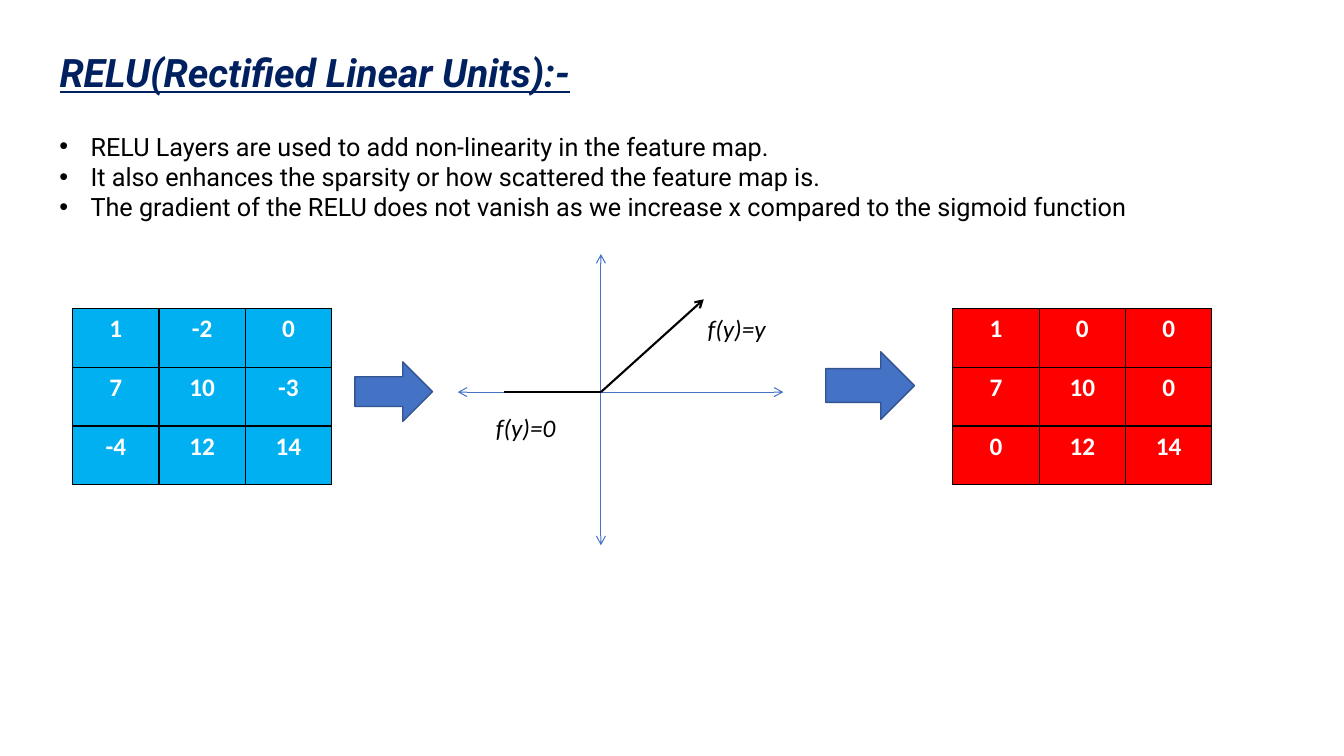
from lxml import etree
from pptx import Presentation
from pptx.dml.color import RGBColor
from pptx.enum.shapes import MSO_CONNECTOR, MSO_SHAPE
from pptx.enum.text import MSO_ANCHOR, PP_ALIGN
from pptx.oxml.ns import qn
from pptx.util import Pt

PX = 9144
STRAIGHT = MSO_CONNECTOR.STRAIGHT
RIGHT_ARROW = MSO_SHAPE.RIGHT_ARROW
MIDDLE = MSO_ANCHOR.MIDDLE
LEFT, CENTER = PP_ALIGN.LEFT, PP_ALIGN.CENTER
COLORS = {
    "navy": "002060",
    "black": "000000",
    "white": "FFFFFF",
    "sky": "00B0F0",
    "red": "FF0000",
    "blue": "4472C4",
    "outline": "325491",
}


def color(name):
    return RGBColor.from_string(COLORS[name])


def style_font(font, name, size, color_name, bold=False, italic=False):
    font.name = name
    font.size = Pt(size)
    font.bold = bold
    font.italic = italic
    font.color.rgb = color(color_name)


presentation = Presentation()
presentation.slide_width = 1333 * PX
presentation.slide_height = 750 * PX
slide = presentation.slides.add_slide(presentation.slide_layouts[5])

title = slide.shapes.title
title.left, title.top, title.width, title.height = 49 * PX, 24 * PX, 605 * PX, 101 * PX
title.text_frame.text = "RELU(Rectified Linear Units):-"
title.text_frame.vertical_anchor = MIDDLE
paragraph = title.text_frame.paragraphs[0]
paragraph.alignment = LEFT
paragraph.line_spacing = 0.9
style_font(paragraph.font, "Roboto", 28, "navy", bold=True, italic=True)
paragraph.font.underline = True

points = [
    "RELU Layers are used to add non-linearity in the feature map.",
    "It also enhances the sparsity or how scattered the feature map is.",
    "The gradient of the RELU does not vanish as we increase x compared to the sigmoid function",
]
body = slide.shapes.add_textbox(49 * PX, 125 * PX, 1201 * PX, 101 * PX)
body.text_frame.word_wrap = True
body.text_frame.text = "\n".join(points)
for paragraph in body.text_frame.paragraphs:
    style_font(paragraph.font, "Roboto", 18, "black")
    properties = paragraph._p.get_or_add_pPr()
    properties.set("marL", str(31 * PX))
    properties.set("indent", str(-31 * PX))
    bullet_font = etree.Element(qn("a:buFont"), typeface="Arial")
    bullet = etree.Element(qn("a:buChar"), char="•")
    properties.insert(0, bullet_font)
    properties.insert(1, bullet)

feature_maps = [
    (72, "sky", [["1", "-2", "0"], ["7", "10", "-3"], ["-4", "12", "14"]]),
    (945, "red", [["1", "0", "0"], ["7", "10", "0"], ["0", "12", "14"]]),
]
for left, fill_name, rows in feature_maps:
    frame = slide.shapes.add_table(3, 3, left * PX, 306 * PX, 257 * PX, 175 * PX)
    for row_index, values in enumerate(rows):
        for column_index, value in enumerate(values):
            cell = frame.table.cell(row_index, column_index)
            cell.text = value
            paragraph = cell.text_frame.paragraphs[0]
            paragraph.alignment = CENTER
            style_font(paragraph.font, "Calibri", 18, "white", bold=True)
            cell_properties = cell._tc.get_or_add_tcPr()
            for side in ("a:lnL", "a:lnR", "a:lnT", "a:lnB"):
                border = etree.SubElement(cell_properties, qn(side), w=str(Pt(1)))
                border_fill = etree.SubElement(border, qn("a:solidFill"))
                etree.SubElement(border_fill, qn("a:srgbClr"), val=COLORS["black"])
            cell.fill.solid()
            cell.fill.fore_color.rgb = color(fill_name)

for left, top, width, height in [(352, 359, 77, 59), (819, 349, 88, 67)]:
    arrow = slide.shapes.add_shape(RIGHT_ARROW, left * PX, top * PX, width * PX, height * PX)
    arrow.shadow.inherit = False
    arrow.fill.solid()
    arrow.fill.fore_color.rgb = color("blue")
    arrow.line.color.rgb = color("outline")
    arrow.line.width = Pt(1)

graph_lines = [
    (596, 252, 596, 541, "blue", 0.75, ["a:headEnd", "a:tailEnd"]),
    (454, 389, 777, 389, "blue", 0.75, ["a:headEnd", "a:tailEnd"]),
    (596, 389, 698, 297, "black", 1.5, ["a:tailEnd"]),
    (500, 389, 596, 389, "black", 1.5, []),
]
for start_x, start_y, end_x, end_y, color_name, width, ends in graph_lines:
    connector = slide.shapes.add_connector(
        STRAIGHT, start_x * PX, start_y * PX, end_x * PX, end_y * PX
    )
    connector.line.color.rgb = color(color_name)
    connector.line.width = Pt(width)
    shape_properties = connector._element.spPr
    for end in ends:
        etree.SubElement(shape_properties.find(qn("a:ln")), qn(end), type="arrow")
    etree.SubElement(shape_properties, qn("a:effectLst"))

for left, top, width, text in [(692, 306, 102, "f(y)=y"), (482, 404, 130, "f(y)=0")]:
    label = slide.shapes.add_textbox(left * PX, top * PX, width * PX, 40 * PX)
    label.text_frame.word_wrap = True
    label.text_frame.text = text
    style_font(label.text_frame.paragraphs[0].font, "Calibri", 18, "black", italic=True)

presentation.save("out.pptx")
